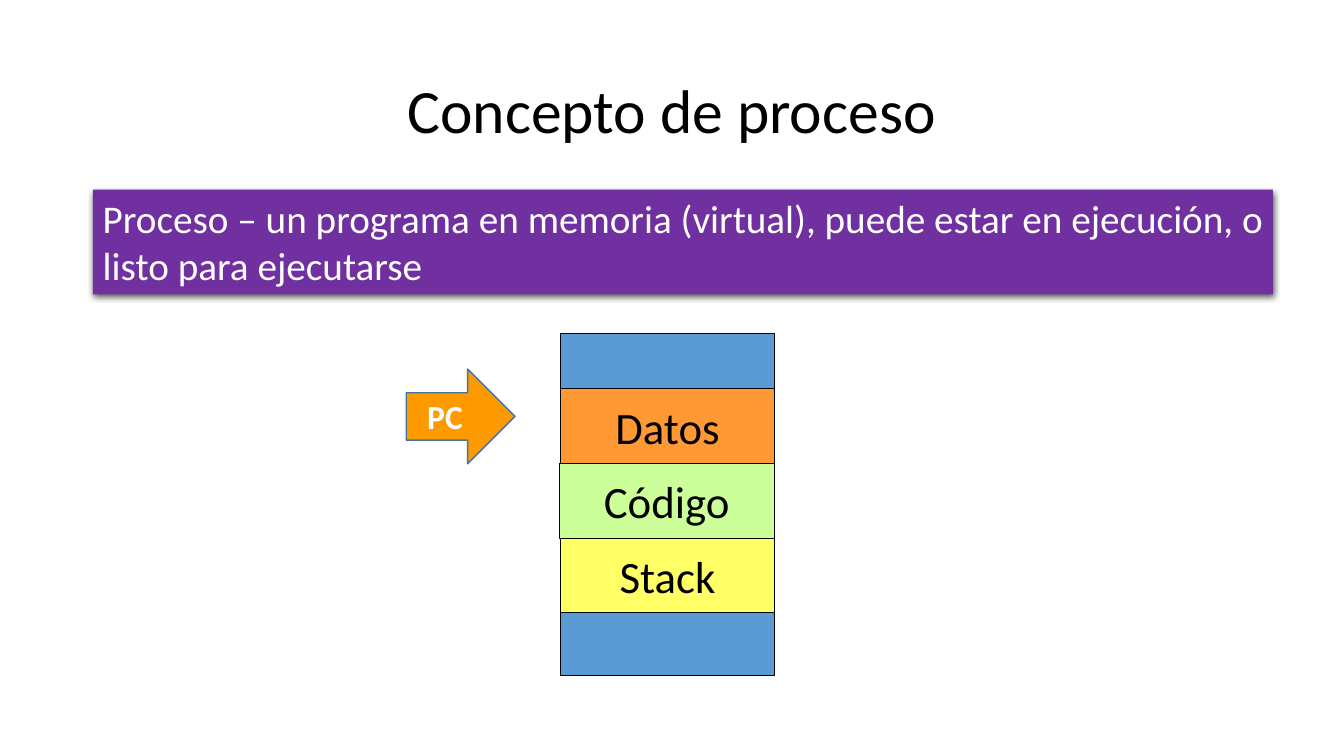
import pptx
import pptx.util
import pptx.dml.color
import pptx.enum.shapes
import pptx.enum.text
import pptx.oxml
import pptx.oxml.ns

Cm = pptx.util.Cm
Pt = pptx.util.Pt
Kind = pptx.enum.shapes.MSO_SHAPE
Align = pptx.enum.text.PP_ALIGN
Anchor = pptx.enum.text.MSO_ANCHOR

TITLE = "Concepto de proceso"
BANNER = ("Proceso – un programa en memoria (virtual), "
          "puede estar en ejecución, o listo para ejecutarse")
PARTS = [("Datos", "FF9933", 14.12), ("Código", "CCFF99", 14.1), ("Stack", "FFFF66", 14.12)]
POINTER = "PC "

MEMORY = (14.12, 8.41, 5.41, 8.61)
FIRST, HIGH = 9.8, 1.88

SHADOW = """<a:effectLst xmlns:a="http://schemas.openxmlformats.org/drawingml/2006/main">
<a:outerShdw blurRad="57150" dist="19050" dir="5400000" algn="ctr" rotWithShape="0">
<a:srgbClr val="000000"><a:alpha val="63000"/></a:srgbClr></a:outerShdw></a:effectLst>"""


def color(code):
    return pptx.dml.color.RGBColor.from_string(code)


def write(shape, text, size, ink="000000", bold=False, align=Align.CENTER,
          anchor=Anchor.MIDDLE, wrap=True, space=1.0):
    frame = shape.text_frame
    frame.word_wrap = wrap
    frame.vertical_anchor = anchor
    para = frame.paragraphs[0]
    para.alignment = align
    para.line_spacing = space
    run = para.add_run()
    run.text = text
    run.font.name = "Calibri"
    run.font.size = Pt(size)
    run.font.bold = bold
    run.font.color.rgb = color(ink)


def draw(slide, box, fill, line="000000", width=0.75, kind=Kind.RECTANGLE):
    shape = slide.shapes.add_shape(kind, *map(Cm, box))
    shape.shadow.inherit = False
    shape.fill.solid()
    shape.fill.fore_color.rgb = color(fill)
    if line:
        shape.line.color.rgb = color(line)
        shape.line.width = Pt(width)
    else:
        shape.line.fill.background()
    return shape


def main():
    deck = pptx.Presentation()
    deck.slide_width, deck.slide_height = Cm(33.87), Cm(19.05)
    slide = deck.slides.add_slide(deck.slide_layouts[6])

    title = slide.shapes.add_textbox(*map(Cm, (2.33, 1.02, 29.21, 3.68)))
    write(title, TITLE, 44, space=0.9)

    draw(slide, MEMORY, "5B9BD5")
    for row, (name, fill, left) in enumerate(PARTS):
        cell = draw(slide, (left, FIRST + row * HIGH, MEMORY[2], HIGH), fill)
        write(cell, name, 32, wrap=False)

    banner = draw(slide, (2.34, 4.78, 29.74, 2.64), "7030A0", line=None)
    props = banner.element.spPr
    props.replace(props.find(pptx.oxml.ns.qn("a:effectLst")), pptx.oxml.parse_xml(SHADOW))
    write(banner, BANNER, 28, ink="FFFFFF", align=Align.LEFT, anchor=Anchor.TOP)

    arrow = draw(slide, (10.24, 9.3, 2.74, 2.39), "FF9900", line="43739E", width=1,
                 kind=Kind.RIGHT_ARROW)
    write(arrow, POINTER, 24, ink="FFFFFF", bold=True)

    deck.save("out.pptx")


if __name__ == "__main__":
    main()
